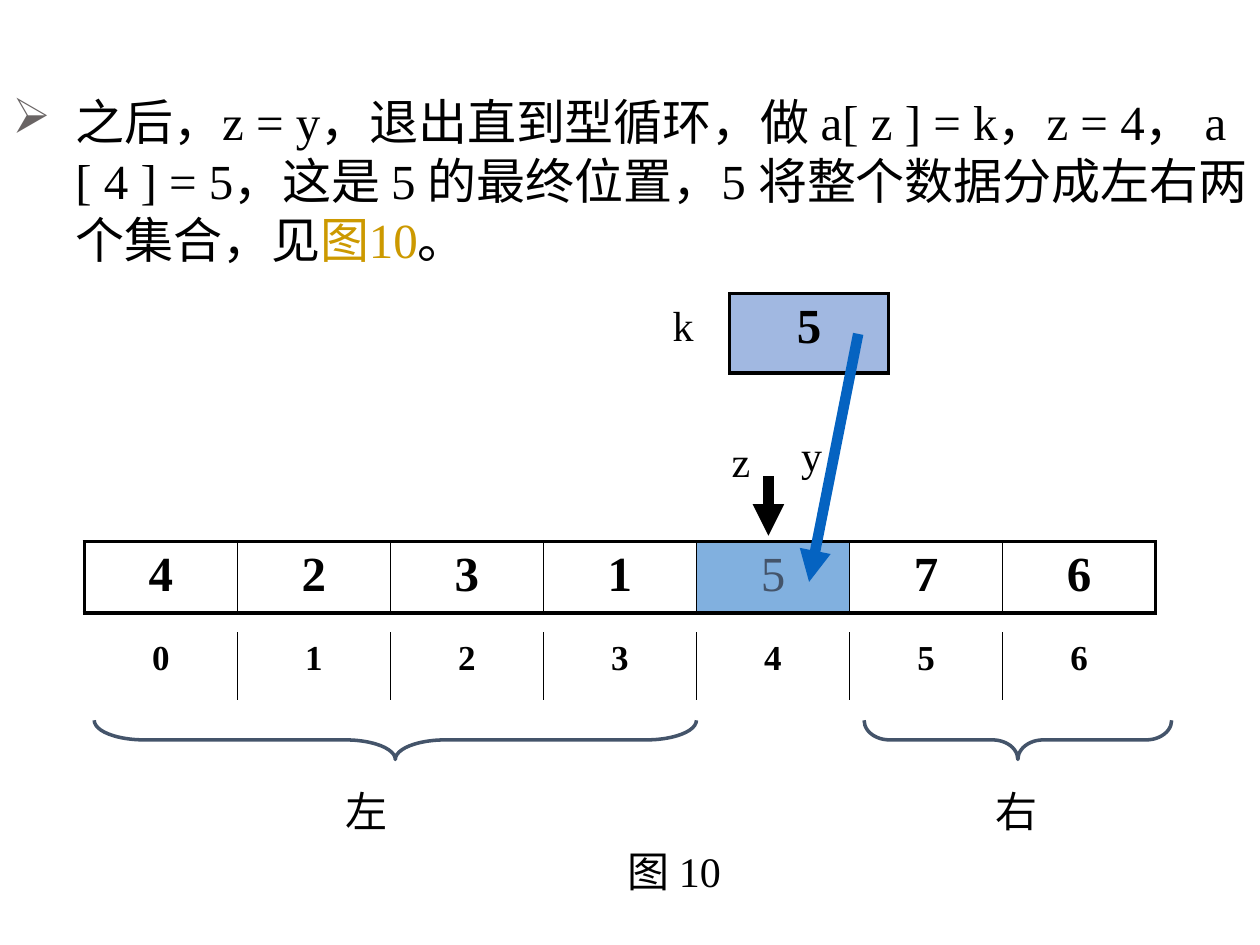
import pptx
import pptx.dml.color
import pptx.enum.shapes
import pptx.enum.text
import pptx.oxml
import pptx.oxml.ns
import pptx.util

Cm = pptx.util.Cm
Pt = pptx.util.Pt
RGB = pptx.dml.color.RGBColor.from_string

THEME = {
    "font": "Times New Roman",
    "black": "000000", "gold": "CC9900", "gray": "696464",
    "slate": "44546A", "blue": "0563C1", "key": "4472C4",
    "body": 28, "label": 24, "index": 20,
    "thick": 2.25, "thin": 1, "brace": 2, "arrow": 6,
}

BODY = [
    ("之后，z = y，退出直到型循环，做 a[ z ] = k，z = 4， a [ 4 ] = 5，"
     "这是 5 的最终位置，5 将整个数据分成左右两个集合，见", "black"),
    ("图10", "gold"),
    ("。", "black"),
]
VALUES = ["4", "2", "3", "1", "5", "7", "6"]
PIVOT = 4
LABELS = [
    ("z", 14.5, 8.66, 1.1),
    ("y", 15.9, 8.53, 1.1),
    ("k", 13.31, 5.92, 2.2),
    ("左", 6.71, 15.72, 3.1),
    ("右", 19.81, 15.72, 3.1),
    ("图 10", 12.4, 16.92, 3.1),
]
BRACES = [(1.9, 12.14, 1.28), (17.42, 6.2, 0.65)]
ARROWS = [
    ((15.49, 9.6), (15.49, 10.8), "black"),
    ((17.3, 6.73), (16.31, 11.73), "blue"),
]
ARRAY_LEFT, ARRAY_WIDTH = 1.7, 21.6
BRACE_TOP, BRACE_HEIGHT = 14.52, 0.79


def xml(tag, content="", attributes=""):
    namespace = pptx.oxml.ns.nsdecls("a")
    return pptx.oxml.parse_xml(f"<a:{tag} {namespace} {attributes}>{content}</a:{tag}>")


def add_run(paragraph, text, size, color="black", bold=False):
    run = paragraph.add_run()
    run.text = text
    settings = {"name": THEME["font"], "size": Pt(THEME[size]), "bold": bold}
    for name, value in settings.items():
        setattr(run.font, name, value)
    run.font.color.rgb = RGB(THEME[color])


def add_text(slide, left, top, width, height):
    frame = slide.shapes.add_textbox(Cm(left), Cm(top), Cm(width), Cm(height)).text_frame
    frame.word_wrap = True
    return frame.paragraphs[0]


def add_body(slide):
    paragraph = add_text(slide, 0, 1.73, 25.4, 3.81)
    properties = paragraph._p.get_or_add_pPr()
    for name, value in {"marL": Cm(1.27), "indent": Cm(-1.27)}.items():
        properties.set(name, str(int(value)))
    properties.append(xml("buClr", f'<a:srgbClr val="{THEME["gray"]}"/>'))
    properties.append(xml("buChar", attributes='char="➢"'))
    for text, color in BODY:
        add_run(paragraph, text, "body", color)


def set_borders(cell, borders):
    properties = cell._tc.get_or_add_tcPr()
    for side in "LRTB":
        weight = borders.get(side)
        if weight:
            paint = f'<a:solidFill><a:srgbClr val="{THEME["black"]}"/></a:solidFill>'
            attributes = f'w="{int(Pt(THEME[weight]))}"'
        else:
            paint, attributes = "<a:noFill/>", ""
        properties.append(xml(f"ln{side}", paint, attributes))


def set_fill(cell, color):
    if color is None:
        cell.fill.background()
        return
    cell.fill.solid()
    cell.fill.fore_color.rgb = RGB(THEME[color])
    paint = cell._tc.tcPr.find(pptx.oxml.ns.qn("a:solidFill"))
    paint[0].append(xml("alpha", attributes='val="50000"'))


def add_row(slide, box, values, size, outer, fills=None, faded=None):
    left, top, width, height = map(Cm, box)
    table = slide.shapes.add_table(1, len(values), left, top, width, height).table
    table.first_row = table.horz_banding = False
    last = len(values) - 1
    for index, value in enumerate(values):
        cell = table.cell(0, index)
        set_borders(cell, {
            "L": "thin" if index else outer,
            "R": "thin" if index < last else outer,
            "T": outer, "B": outer,
        })
        set_fill(cell, (fills or {}).get(index))
        paragraph = cell.text_frame.paragraphs[0]
        paragraph.alignment = pptx.enum.text.PP_ALIGN.CENTER
        pale = index == faded
        add_run(paragraph, value, size, "slate" if pale else "black", not pale)


def add_brace(slide, left, width, bend):
    middle_x, middle_y = left + width / 2, BRACE_TOP + BRACE_HEIGHT / 2
    brace = slide.shapes.add_shape(
        pptx.enum.shapes.MSO_SHAPE.LEFT_BRACE,
        Cm(middle_x - BRACE_HEIGHT / 2), Cm(middle_y - width / 2),
        Cm(BRACE_HEIGHT), Cm(width))
    brace.rotation = 270
    brace.adjustments[0] = bend
    brace.shadow.inherit = False
    brace.fill.background()
    brace.line.color.rgb = RGB(THEME["slate"])
    brace.line.width = Pt(THEME["brace"])


def add_arrow(slide, start, end, color):
    arrow = slide.shapes.add_connector(
        pptx.enum.shapes.MSO_CONNECTOR.STRAIGHT, *map(Cm, start + end))
    arrow.line.color.rgb = RGB(THEME[color])
    arrow.line.width = Pt(THEME["arrow"])
    arrow.line._get_or_add_ln().append(xml("tailEnd", attributes='type="triangle"'))
    arrow._element.spPr.append(xml("effectLst"))


def main():
    presentation = pptx.Presentation()
    presentation.slide_width, presentation.slide_height = Cm(25.4), Cm(19.05)
    slide = presentation.slides.add_slide(presentation.slide_layouts[6])
    add_body(slide)
    add_row(slide, (ARRAY_LEFT, 10.92, ARRAY_WIDTH, 1.43), VALUES, "body", "thick",
            {PIVOT: "blue"}, PIVOT)
    indexes = [str(index) for index in range(len(VALUES))]
    add_row(slide, (ARRAY_LEFT, 12.75, ARRAY_WIDTH, 1.37), indexes, "index", None)
    add_row(slide, (14.71, 5.92, 3.2, 1.6), ["5"], "body", "thick", {0: "key"})
    for text, left, top, width in LABELS:
        add_run(add_text(slide, left, top, width, 1.27), text, "label")
    for brace in BRACES:
        add_brace(slide, *brace)
    for arrow in ARROWS:
        add_arrow(slide, *arrow)
    presentation.save("out.pptx")


if __name__ == "__main__":
    main()
